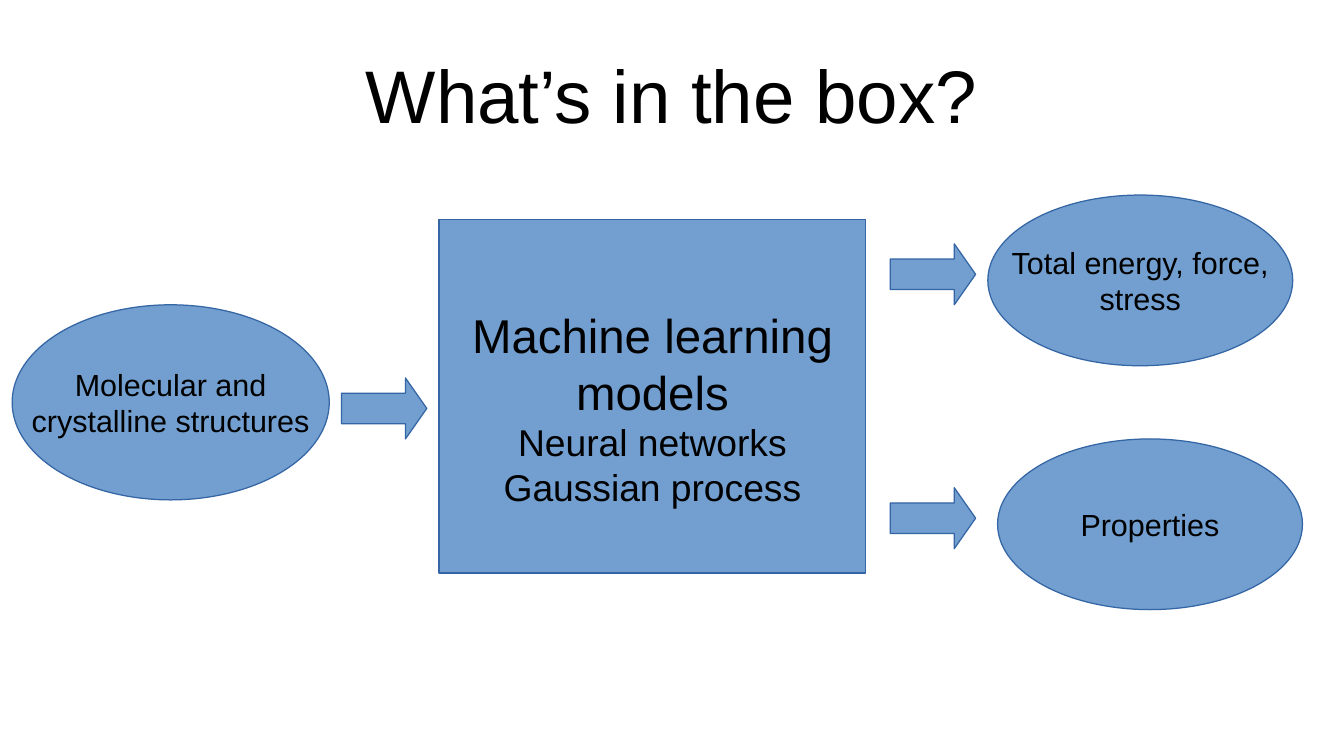
from pptx import Presentation
from pptx.dml.color import RGBColor
from pptx.enum.shapes import MSO_SHAPE as Preset
from pptx.enum.text import MSO_ANCHOR as Anchor, PP_ALIGN as Align
from pptx.util import Inches, Pt

FONT = "Arial"
INK, FILL, EDGE = "000000", "729FCF", "3465A4"
ARROW_WIDTH, ARROW_HEIGHT = 0.7, 0.5


def color(hex_string):
    """Turn a hex string into a colour."""
    return RGBColor.from_string(hex_string)


def write_lines(frame, lines):
    """Write centred (text, size) lines, one paragraph each."""
    frame.vertical_anchor = Anchor.MIDDLE
    for index, (text, size) in enumerate(lines):
        paragraph = frame.paragraphs[0] if index == 0 else frame.add_paragraph()
        paragraph.alignment = Align.CENTER
        run = paragraph.add_run()
        run.text = text
        run.font.name = FONT
        run.font.size = Pt(size)
        run.font.color.rgb = color(INK)


def add_title(slide, box, text):
    """Place the slide title, centred in its box."""
    frame = slide.shapes.add_textbox(*map(Inches, box)).text_frame
    frame.word_wrap = True
    frame.margin_left = frame.margin_right = 0
    frame.margin_top = frame.margin_bottom = 0
    write_lines(frame, [(text, 44)])


def add_node(slide, preset, box, lines=()):
    """Place one outlined blue shape of the diagram with its lines."""
    node = slide.shapes.add_shape(preset, *map(Inches, box))
    node.shadow.inherit = False
    node.fill.solid()
    node.fill.fore_color.rgb = color(FILL)
    node.line.color.rgb = color(EDGE)
    node.line.width = Pt(0)
    node.text_frame.word_wrap = False
    write_lines(node.text_frame, lines)
    return node


def add_flow(slide, box):
    """Lay out the input, the model box and the two outputs with arrows."""
    left, top, _, _ = box
    add_node(slide, Preset.OVAL, (left, top + 0.9, 2.6, 1.6),
             [("Molecular and", 18), ("crystalline structures", 18)])
    model = add_node(slide, Preset.RECTANGLE, (left + 3.5, top + 0.2, 3.5, 2.9),
                     [("Machine learning", 28), ("models", 28),
                      ("Neural networks", 22), ("Gaussian process", 22)])
    model.text_frame.margin_top = Inches(0.23)

    outputs = [
        (8, 0, [("Total energy, force,", 18), ("stress", 18)]),
        (8.08, 2, [("Properties", 18)]),
    ]
    arrows = [(2.7, 1.5)]
    for across, down, lines in outputs:
        add_node(slide, Preset.OVAL, (left + across, top + down, 2.5, 1.4), lines)
        arrows.append((7.2, down + 0.4))

    for across, down in arrows:
        arrow = add_node(slide, Preset.RIGHT_ARROW,
                         (left + across, top + down, ARROW_WIDTH, ARROW_HEIGHT))
        arrow.adjustments[0] = 0.5
        arrow.adjustments[1] = 0.35


def main():
    """Build the slide and save it."""
    deck = Presentation()
    deck.slide_width, deck.slide_height = Inches(11.02), Inches(6.2)
    slide = deck.slides.add_slide(deck.slide_layouts[6])
    add_title(slide, (0.55, 0.25, 9.92, 1.04), "What’s in the box?")
    add_flow(slide, (0.1, 1.6, 10.58, 3.4))
    deck.save("out.pptx")


if __name__ == "__main__":
    main()
